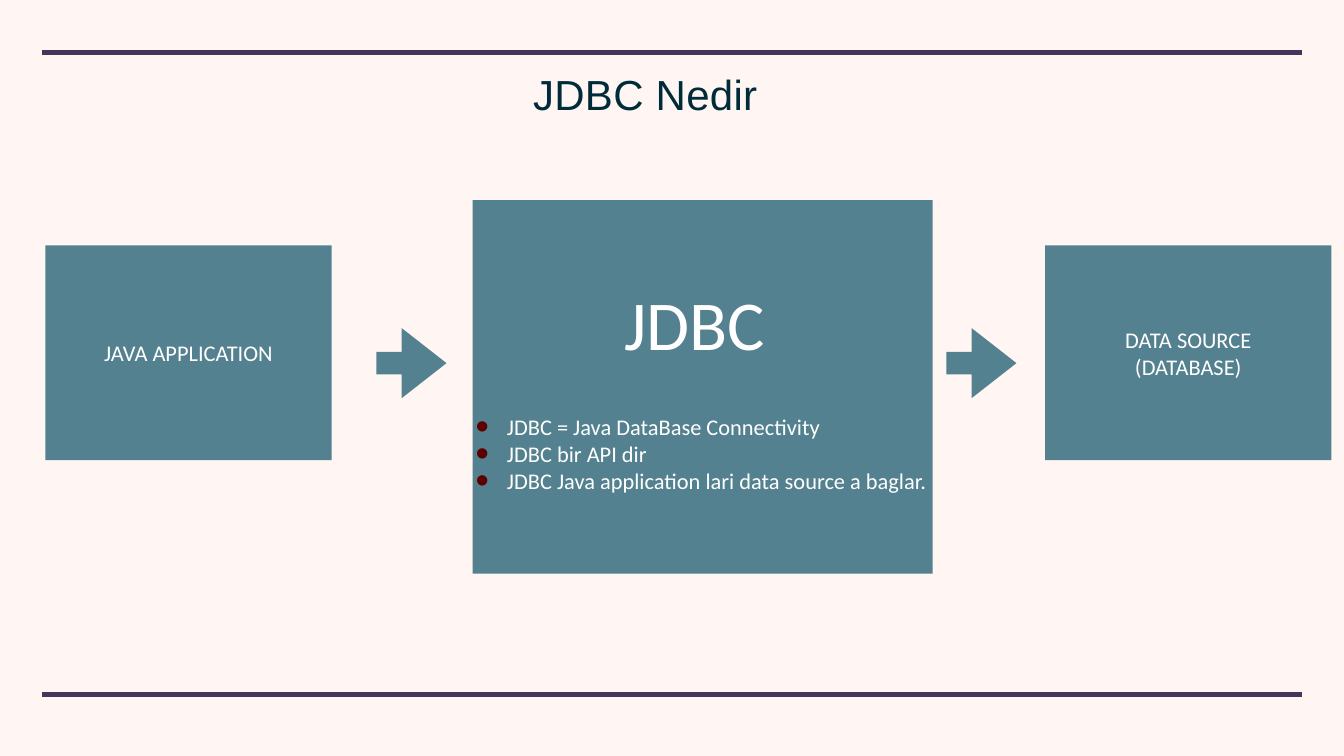
from dataclasses import dataclass

from lxml.etree import SubElement
from pptx import Presentation
from pptx.dml.color import RGBColor
from pptx.enum.shapes import MSO_CONNECTOR, MSO_SHAPE
from pptx.enum.text import MSO_ANCHOR, MSO_AUTO_SIZE, PP_ALIGN
from pptx.oxml.ns import qn
from pptx.util import Inches, Pt


@dataclass(frozen=True)
class Theme:
    background: str = "FFF5F2"
    rule: str = "443658"
    box: str = "54818F"
    bullet: str = "5E0000"
    title: str = "002C39"
    light: str = "FFFFFF"
    title_font: str = "Arial"
    body_font: str = "Calibri"
    title_size: int = 60
    hero_size: int = 100
    body_size: int = 32


THEME = Theme()


def color(value):
    return RGBColor.from_string(value)


def add_bullet(p):
    pPr = p._p.get_or_add_pPr()
    pPr.set("marL", str(Inches(0.62)))
    pPr.set("indent", str(Inches(-0.62)))
    SubElement(SubElement(pPr, qn("a:buClr")), qn("a:srgbClr"), val=THEME.bullet)
    SubElement(pPr, qn("a:buSzPct"), val="170000")
    SubElement(pPr, qn("a:buFont"), typeface=THEME.title_font)
    SubElement(pPr, qn("a:buChar"), char="•")


def write(tf, text, *, size=THEME.body_size, font=THEME.body_font, fill=THEME.light,
          align=PP_ALIGN.CENTER, before=0, bullet=False, tracking=None):
    p = tf.paragraphs[0] if not tf.text else tf.add_paragraph()
    p.alignment = align
    p.space_before = Pt(before)
    if bullet:
        add_bullet(p)
    r = p.add_run()
    r.text = text
    r.font.size = Pt(size)
    r.font.name = font
    r.font.color.rgb = color(fill)
    if tracking is not None:
        r._r.get_or_add_rPr().set("spc", str(tracking))


def add_title(s, text):
    sp = s.shapes.title
    sp.left, sp.top = Inches(6.14), Inches(1.31)
    sp.width, sp.height = Inches(13.33), Inches(1.11)
    tf = sp.text_frame
    tf.word_wrap = True
    tf.auto_size = MSO_AUTO_SIZE.NONE
    tf.vertical_anchor = MSO_ANCHOR.MIDDLE
    write(tf, text, size=THEME.title_size, font=THEME.title_font,
          fill=THEME.title, tracking=40)


def add_rule(s, y):
    line = s.shapes.add_connector(MSO_CONNECTOR.STRAIGHT, Inches(0.83), Inches(y),
                                  Inches(25.83), Inches(y))
    line.line.color.rgb = color(THEME.rule)
    line.line.width = Pt(6)
    SubElement(line._element.spPr, qn("a:effectLst"))


def add_block(s, kind, left, top, width, height):
    sp = s.shapes.add_shape(kind, Inches(left), Inches(top), Inches(width), Inches(height))
    sp.shadow.inherit = False
    sp.fill.solid()
    sp.fill.fore_color.rgb = color(THEME.box)
    sp.line.fill.background()
    return sp


def add_box(s, left, top, width, height):
    tf = add_block(s, MSO_SHAPE.RECTANGLE, left, top, width, height).text_frame
    tf.word_wrap = True
    tf.vertical_anchor = MSO_ANCHOR.MIDDLE
    tf.margin_left = tf.margin_right = tf.margin_top = tf.margin_bottom = Inches(0.06)
    return tf


def add_arrow(s, left):
    sp = add_block(s, MSO_SHAPE.RIGHT_ARROW, left, 6.51, 1.39, 1.39)
    sp.adjustments[0], sp.adjustments[1] = 0.32, 0.64


def main():
    prs = Presentation()
    prs.slide_width, prs.slide_height = Inches(26.67), Inches(15)
    s = prs.slides.add_slide(prs.slide_layouts[5])
    s.background.fill.solid()
    s.background.fill.fore_color.rgb = color(THEME.background)

    for y in (1.04, 13.78):
        add_rule(s, y)
    add_title(s, "JDBC Nedir")

    ends = [(0.9, ["JAVA APPLICATION"]), (20.74, ["DATA SOURCE", "(DATABASE)"])]
    for left, lines in ends:
        tf = add_box(s, left, 4.87, 5.68, 4.26)
        for text in lines:
            write(tf, text)

    tf = add_box(s, 9.38, 3.97, 9.13, 7.41)
    write(tf, "JDBC ", size=THEME.hero_size)
    facts = ["JDBC = Java DataBase Connectivity", "JDBC bir API dir",
             "JDBC Java application lari data source a baglar."]
    for i, text in enumerate(facts):
        write(tf, text, align=PP_ALIGN.LEFT, before=0 if i else 70, bullet=True)

    for left in (7.47, 18.78):
        add_arrow(s, left)

    prs.save("out.pptx")


if __name__ == "__main__":
    main()
